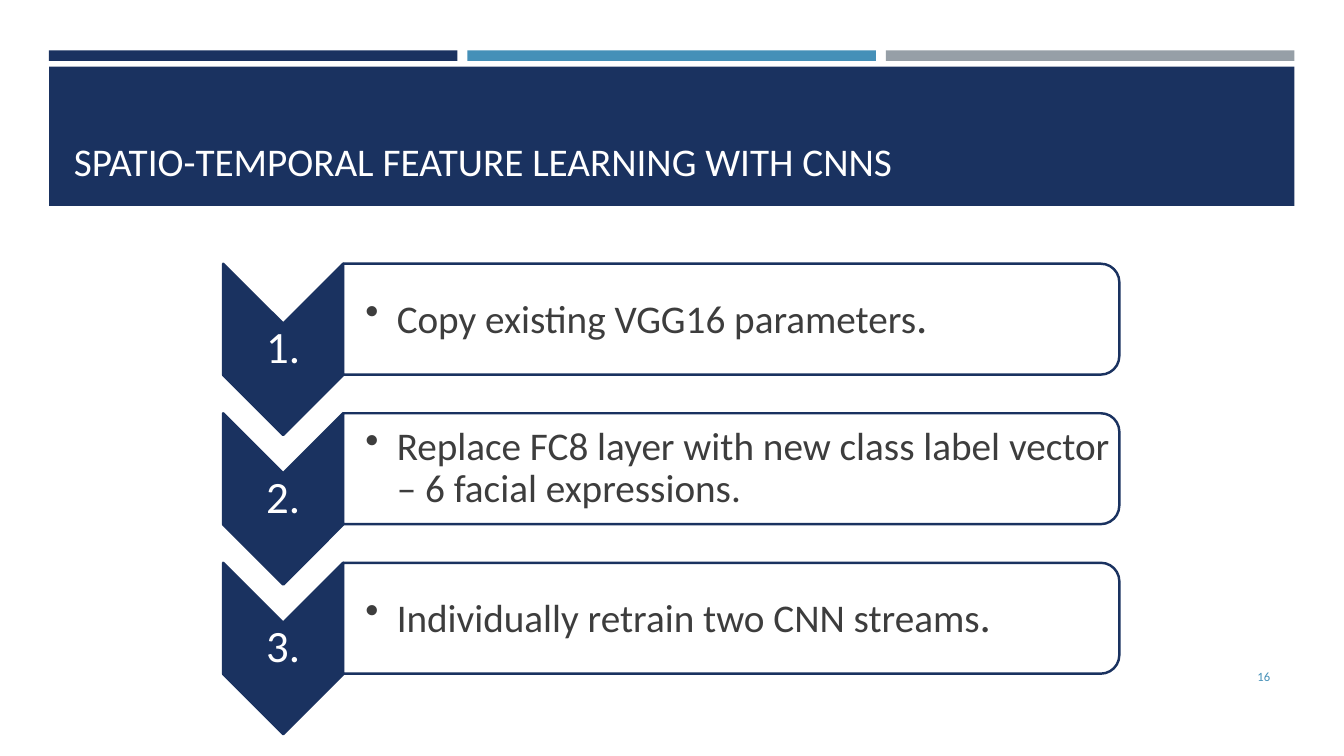
import pptx
import pptx.dml.color
import pptx.enum.shapes
import pptx.enum.text
import pptx.util
from dataclasses import dataclass
from lxml import etree

Pt = pptx.util.Pt
Shape = pptx.enum.shapes.MSO_SHAPE
Anchor = pptx.enum.text.MSO_ANCHOR
Align = pptx.enum.text.PP_ALIGN
DRAWING = "http://schemas.openxmlformats.org/drawingml/2006/main"


@dataclass(frozen=True)
class Theme:
    """Colours, font and type sizes of the slide."""
    navy: str = "1A3260"
    blue: str = "4590B8"
    grey: str = "969FA7"
    white: str = "FFFFFF"
    ink: str = "3D3D3D"
    font: str = "Calibri"
    body: int = 28
    large: int = 32
    small: int = 9


THEME = Theme()
STEPS = [
    [("Copy existing VGG16 parameters", THEME.body), (".", THEME.large)],
    [("Replace FC8 layer with new class label vector – 6 facial expressions.", THEME.body)],
    [("Individually retrain two CNN streams", THEME.body), (".", THEME.large)],
]


def rgb(colour):
    """Turn a hex string into a colour."""
    return pptx.dml.color.RGBColor.from_string(colour)


def add_block(slide, kind, box, fill, line=None, turned=False):
    """Draw a filled shape in the visible box, turned a quarter clockwise if asked."""
    left, top, width, height = box
    if turned:
        left, top = left + (width - height) / 2, top + (height - width) / 2
        width, height = height, width
    block = slide.shapes.add_shape(kind, Pt(left), Pt(top), Pt(width), Pt(height))
    block.rotation = 90 if turned else 0
    block.shadow.inherit = False
    block.fill.solid()
    block.fill.fore_color.rgb = rgb(fill)
    if line:
        block.line.color.rgb = rgb(line)
        block.line.width = Pt(1.75)
    else:
        block.line.fill.background()
    return block


def write(paragraph, text, size, colour):
    """Append one run in the theme font."""
    run = paragraph.add_run()
    run.text = text
    run.font.name = THEME.font
    run.font.size = Pt(size)
    run.font.color.rgb = rgb(colour)


def add_label(slide, box, align, margins=(1.5, 1.5, 1.5, 1.5)):
    """Add a vertically centred text box and return its paragraph."""
    frame = slide.shapes.add_textbox(*map(Pt, box)).text_frame
    frame.word_wrap = True
    frame.vertical_anchor = Anchor.MIDDLE
    (frame.margin_left, frame.margin_top,
     frame.margin_right, frame.margin_bottom) = map(Pt, margins)
    paragraph = frame.paragraphs[0]
    paragraph.alignment = align
    return paragraph


def add_header(slide, box, title):
    """Place the three accent bars and the title band in the box."""
    left, top, width, height = box
    gap, bar_height, band_top = 7.2, 7.6, 11.6
    bar_width = (width - 2 * gap) / 3
    for index, colour in enumerate((THEME.navy, THEME.blue, THEME.grey)):
        bar = (left + index * (bar_width + gap), top, bar_width, bar_height)
        add_block(slide, Shape.RECTANGLE, bar, colour)
    band = (left, top + band_top, width, height - band_top)
    add_block(slide, Shape.RECTANGLE, band, THEME.navy)

    heading = slide.shapes.title
    heading.left, heading.top = Pt(left + 10.5), Pt(top + 21.6)
    heading.width, heading.height = Pt(width - 21), Pt(77.8)
    heading.text_frame.auto_size = pptx.enum.text.MSO_AUTO_SIZE.NONE
    heading.text_frame.word_wrap = True
    heading.text_frame.vertical_anchor = Anchor.BOTTOM
    paragraph = heading.text_frame.paragraphs[0]
    paragraph.alignment = Align.LEFT
    write(paragraph, title, THEME.body, THEME.white)
    slide.shapes._spTree.append(heading._element)


def add_step(slide, box, number, runs):
    """Place a numbered chevron and its rounded card in the box."""
    left, top, width, height = box
    arrow_width, card_height = 85.7, 79.2
    arrow = (left, top, arrow_width, height)
    add_block(slide, Shape.CHEVRON, arrow, THEME.navy, THEME.navy, turned=True)
    digit = add_label(slide, (left, top + 42.8, arrow_width, height - 85.6), Align.CENTER)
    digit.line_spacing = 0.9
    write(digit, f"{number}.", THEME.large, THEME.white)

    card_left, card_width = left + arrow_width, width - arrow_width
    card_box = (card_left, top, card_width, card_height)
    card = add_block(slide, Shape.ROUND_2_SAME_RECTANGLE, card_box,
                     THEME.white, THEME.navy, turned=True)
    white = card._element.spPr.find(f"{{{DRAWING}}}solidFill")[0]
    etree.SubElement(white, f"{{{DRAWING}}}alpha", val="90000")

    action = add_label(slide, (card_left, top + 3.9, card_width - 3.6, card_height - 7.8),
                       Align.LEFT, (15.8, 1.5, 1.5, 1.5))
    properties = action._p.get_or_add_pPr()
    properties.set("marL", str(Pt(22.5)))
    properties.set("indent", str(-Pt(22.5)))
    etree.SubElement(properties, f"{{{DRAWING}}}buChar", char="•")
    action.line_spacing = 0.9
    for text, size in runs:
        write(action, text, size, THEME.ink)


def add_steps(slide, box, steps):
    """Stack the steps evenly down the box."""
    left, top, width, height = box
    step_height = 122.4
    pitch = (height - step_height) / (len(steps) - 1)
    for index, runs in enumerate(steps):
        add_step(slide, (left, top + index * pitch, width, step_height), index + 1, runs)


def add_page_number(slide, box, number):
    """Write the page number at the right of the box."""
    page = add_label(slide, box, Align.RIGHT, (7.2, 3.6, 7.2, 3.6))
    write(page, number, THEME.small, THEME.blue)


def main():
    """Build and save the slide."""
    deck = pptx.Presentation()
    deck.slide_width, deck.slide_height = Pt(960), Pt(540)
    slide = deck.slides.add_slide(deck.slide_layouts[5])
    add_header(slide, (35, 36, 889.6, 111), "SPATIO-TEMPORAL FEATURE LEARNING WITH CNNS")
    add_steps(slide, (159.4, 188.4, 640.1, 336), STEPS)
    add_page_number(slide, (831.6, 468.7, 82.8, 28.8), "16")
    deck.save("out.pptx")


if __name__ == "__main__":
    main()
